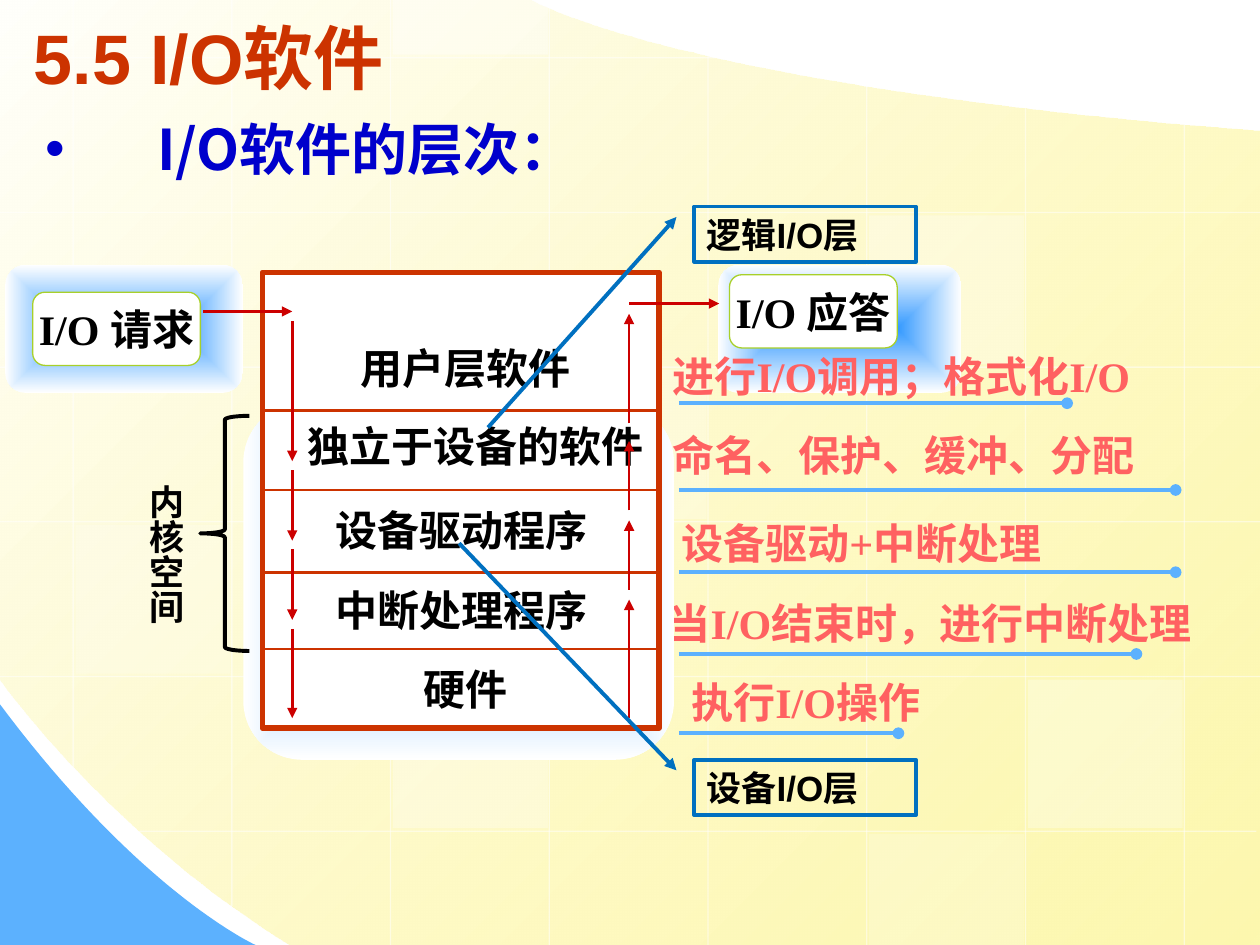
import pptx
import pptx.dml.color
import pptx.enum.shapes
import pptx.enum.text
import pptx.oxml.ns
import pptx.util
from lxml import etree

Pt = pptx.util.Pt
qn = pptx.oxml.ns.qn
SHAPES = pptx.enum.shapes.MSO_SHAPE
ALIGN = pptx.enum.text.PP_ALIGN
ANCHOR = pptx.enum.text.MSO_ANCHOR
EAST_ASIAN_FONT = "Noto Sans CJK SC"
SERIF = "Times New Roman"

GRID_LEFT, GRID_TOP, GRID_STEP_X, GRID_STEP_Y = 41.8, 33, 90.7, 88.4
OUTLINE_UNITS = 100  # outline units in one point, so that curves stay smooth


def color(value):
    return pptx.dml.color.RGBColor.from_string(value)


def add_child(parent, tag, **attributes):
    return etree.SubElement(parent, qn(tag), attributes)


def set_alpha(element, percent):
    add_child(next(element.iter(qn("a:srgbClr"))), "a:alpha", val=str(percent * 1000))


def fill_gradient(shape, stops, angle=None):
    """Linear gradient with an angle, otherwise one from the centre outwards."""
    shape.fill.background()
    properties = shape.element.spPr
    gradient = etree.Element(qn("a:gradFill"), {"rotWithShape": "1"})
    stop_list = add_child(gradient, "a:gsLst")
    for position, value, alpha in stops:
        stop = add_child(stop_list, "a:gs", pos=str(position * 1000))
        add_child(stop, "a:srgbClr", val=value)
        set_alpha(stop, alpha)
    if angle is not None:
        add_child(gradient, "a:lin", ang=str(angle * 60000), scaled="0")
    else:
        center = add_child(gradient, "a:path", **{"path": "rect"})
        add_child(center, "a:fillToRect", l="50000", t="50000", r="50000", b="50000")
    properties.replace(properties.find(qn("a:noFill")), gradient)


def style_shape(shape, fill=None, line=None, width=1):
    shape.shadow.inherit = False
    if fill:
        shape.fill.solid()
        shape.fill.fore_color.rgb = color(fill)
    else:
        shape.fill.background()
    if line:
        shape.line.color.rgb = color(line)
        shape.line.width = Pt(width)
    else:
        shape.line.fill.background()


def add_box(slide, kind, bounds, **style):
    shape = slide.shapes.add_shape(kind, *map(Pt, bounds))
    style_shape(shape, **style)
    return shape


def add_line(slide, start, end, value, width, arrow=None):
    connector = slide.shapes.add_connector(
        pptx.enum.shapes.MSO_CONNECTOR.STRAIGHT, *map(Pt, (*start, *end)))
    connector.line.color.rgb = color(value)
    connector.line.width = Pt(width)
    properties = connector.element.spPr
    if arrow:
        add_child(properties.find(qn("a:ln")), "a:tailEnd", type=arrow)
    add_child(properties, "a:effectLst")
    return connector


def write_text(shape, text, value="000000", size=24, font=SERIF, align=ALIGN.LEFT,
               anchor=ANCHOR.TOP, wrap=True):
    frame = shape.text_frame
    frame.word_wrap = wrap
    frame.vertical_anchor = anchor
    paragraph = frame.paragraphs[0]
    paragraph.alignment = align
    run = paragraph.add_run()
    run.text = text
    for name, setting in {"size": Pt(size), "bold": True, "name": font}.items():
        setattr(run.font, name, setting)
    run.font.color.rgb = color(value)
    add_child(run.font._element, "a:ea", typeface=EAST_ASIAN_FONT)
    return paragraph


def add_text(slide, bounds, text, **style):
    shape = slide.shapes.add_textbox(*map(Pt, bounds))
    write_text(shape, text, **style)
    return shape


def curve(start, first, second, end, steps=40):
    """Points along a cubic Bezier curve."""
    points = []
    for step in range(steps + 1):
        t = step / steps
        weights = ((1 - t) ** 3, 3 * t * (1 - t) ** 2, 3 * t * t * (1 - t), t ** 3)
        points.append(tuple(sum(w * p[axis] for w, p in zip(weights, (start, first, second, end)))
                            for axis in (0, 1)))
    return points


def add_outline(slide, points, fill=None):
    corners = [(x * OUTLINE_UNITS, y * OUTLINE_UNITS) for x, y in points]
    builder = slide.shapes.build_freeform(*corners[0], scale=Pt(1) / OUTLINE_UNITS)
    builder.add_line_segments(corners[1:], close=True)
    shape = builder.convert_to_shape()
    style_shape(shape, fill)
    return shape


def add_background(slide):
    # Yellow sheet and blue corner
    sheet = add_outline(slide, [(720, 540)]
                        + curve((165.6, 540), (61.9, 476), (0, 388), (0, 388))
                        + [(0, 0)] + curve((303, 0), (303, 0), (386.6, 49.7), (720, 75)))
    fill_gradient(sheet, [(0, "FFFFFB", 100), (100, "FDF58D", 70)], angle=45)
    add_outline(slide, [(0, 540)] + curve((146, 540), (146, 540), (80.6, 510.5), (0, 402.5)),
                "5CB1FE")

    # Faint grid
    lines = []
    vertical_ends = [(0, 438.5), (0, 517.7), (0, 540), (0, 540),
                     (31, 540), (49, 540), (61, 540), (70.5, 540)]
    for column, (top, bottom) in enumerate(vertical_ends):
        x = GRID_LEFT + column * GRID_STEP_X
        lines.append(((x, top), (x, bottom)))
    for row, (left, right) in enumerate([(0, 409)] + [(0, 720)] * 4 + [(80, 718)]):
        y = GRID_TOP + row * GRID_STEP_Y
        lines.append(((left, y), (right, y)))
    for start, end in lines:
        set_alpha(add_line(slide, start, end, "FFFFFF", 0.75).element.spPr, 50)

    # Lighter tiles, cut off at the slide edge
    for column, row, alpha in [(3, 2, 25), (6, 4, 30), (0, 3, 20), (5, 5, 20),
                               (2, -1, 40), (2, 4, 30), (5, 1, 30)]:
        top = GRID_TOP + row * GRID_STEP_Y + 1.7
        bottom = min(540, top + 85)
        top = max(0, top)
        tile = add_box(slide, SHAPES.RECTANGLE,
                       (GRID_LEFT + column * GRID_STEP_X + 1.4, top, 88.5, bottom - top),
                       fill="FFFFFF")
        set_alpha(tile.element.spPr, alpha)


def add_glow(slide, bounds, value):
    glow = add_box(slide, SHAPES.ROUNDED_RECTANGLE, bounds)
    fill_gradient(glow, [(0, value, 100), (100, "FFFFFF", 100)])


def add_message(slide, glow_bounds, left, top, text):
    add_glow(slide, glow_bounds, "3399FF")
    label = add_box(slide, SHAPES.ROUNDED_RECTANGLE, (left, top, 95.8, 41.8),
                    fill="FFFFFF", line="A8D02A", width=0.75)
    write_text(label, text, align=ALIGN.CENTER, anchor=ANCHOR.MIDDLE, wrap=False)


def add_callout(slide, top, text, adjustments):
    callout = add_box(slide, SHAPES.LINE_CALLOUT_1, (396.7, top, 126.7, 31.5),
                      line="0070C0", width=2.25)
    for index, value in enumerate(adjustments):
        callout.adjustments[index] = value
    add_child(callout.element.spPr.find(qn("a:ln")), "a:headEnd", type="triangle")
    write_text(callout, text, size=20, font="Arial", anchor=ANCHOR.MIDDLE)


def add_headings(slide):
    title = slide.shapes.title
    for name, value in {"left": 12.2, "top": 9.4, "width": 648, "height": 46}.items():
        setattr(title, name, Pt(value))
    write_text(title, "5.5 I/O软件", value="CC3300", size=40, font="Arial", anchor=ANCHOR.MIDDLE)
    title.element.getparent().append(title.element)  # in front of the background

    heading = slide.shapes.add_textbox(*map(Pt, (18.7, 62, 479, 57)))
    paragraph = write_text(heading, "I/O软件的层次：", value="0000CC", size=32,
                           font=EAST_ASIAN_FONT)
    properties = paragraph._p.get_or_add_pPr()
    properties.set("marL", str(Pt(64)))
    properties.set("indent", str(Pt(-64)))
    add_child(add_child(properties, "a:buClr"), "a:srgbClr", val="0000CC")
    add_child(properties, "a:buFont", typeface="Arial")
    add_child(properties, "a:buChar", char="•")


def main():
    presentation = pptx.Presentation()
    presentation.slide_width, presentation.slide_height = Pt(720), Pt(540)
    slide = presentation.slides.add_slide(presentation.slide_layouts[5])
    add_background(slide)
    add_headings(slide)

    # Reply, and what each layer does
    add_message(slide, (410.4, 151.2, 139, 73.4), 416.9, 157, "I/O 应答")
    duties = [("进行I/O调用；格式化I/O", 377.3, 196.6, 312, 230.4, 609.8),
              ("命名、保护、缓冲、分配", 377.3, 242, 342.7, 280, 671.8),
              ("设备驱动+中断处理", 382.3, 292.3, 309, 327, 671.8),
              ("当I/O结束时，进行中断处理", 375, 337.7, 335, 373.7, 649.4),
              ("执行I/O操作", 388, 383, 170, 419, 513.4)]
    for text, left, top, width, line_y, line_end in duties:
        add_text(slide, (left, top, width, 36), text, value="FF6161")
        add_line(slide, (388, line_y), (line_end, line_y), "5CB1FE", 2.25, "oval")

    # Request and the stack of layers
    add_message(slide, (2.9, 151.2, 136, 73.4), 18.7, 167, "I/O 请求")
    add_glow(slide, (139, 230.4, 246.2, 203.8), "5CB1FE")
    add_box(slide, SHAPES.RECTANGLE, (149.8, 155.5, 226.8, 260.6),
            fill="FFFFFF", line="CC3300", width=3)
    for y in (234.7, 280, 327, 370.8):
        add_line(slide, (149.8, y), (376.6, y), "CC3300", 1.5)
    layers = [("用户层软件", 189.4, 192.2, 153.4), ("独立于设备的软件", 161.5, 237, 220),
              ("设备驱动程序", 167, 285, 193), ("中断处理程序", 172.8, 330.5, 181.4),
              ("硬件", 189.4, 375.8, 153.4)]
    for text, left, top, width in layers:
        add_text(slide, (left, top, width, 36), text, align=ALIGN.CENTER)

    # Request goes down, reply comes up
    down, up = 167, 359.5
    arrows = [((down, start), (down, end)) for start, end in
              [(183.6, 263.5), (268.6, 309), (314, 354.2), (359.3, 410.4)]]
    arrows += [((up, start), (up, end)) for start, end in
               [(410.4, 342.7), (337, 297.4), (291.6, 252), (242, 179.3)]]
    arrows += [((up, 173.5), (411, 173.5)), ((116, 178), (down, 178))]
    for start, end in arrows:
        add_line(slide, start, end, "CC0000", 1.5, "triangle")

    # Callouts and kernel space
    add_callout(slide, 118, "逻辑I/O层", (0.19, -0.08, 4.01, -0.93))
    add_callout(slide, 434.2, "设备I/O层", (0.19, -0.08, -3.93, -1.06))
    brace = add_box(slide, SHAPES.LEFT_BRACE, (114.5, 237.6, 28, 134.4), line="000000", width=2.25)
    brace.adjustments[0] = 0.08
    kernel = add_text(slide, (72, 269.6, 38.2, 98), "内核空间", size=20, font="Arial")
    frame = kernel.text_frame
    for side, margin in {"left": 3.6, "top": 7.2, "right": 3.6, "bottom": 7.2}.items():
        setattr(frame, "margin_" + side, Pt(margin))
    frame._txBody.bodyPr.set("vert", "eaVert")

    presentation.save("out.pptx")


if __name__ == "__main__":
    main()
